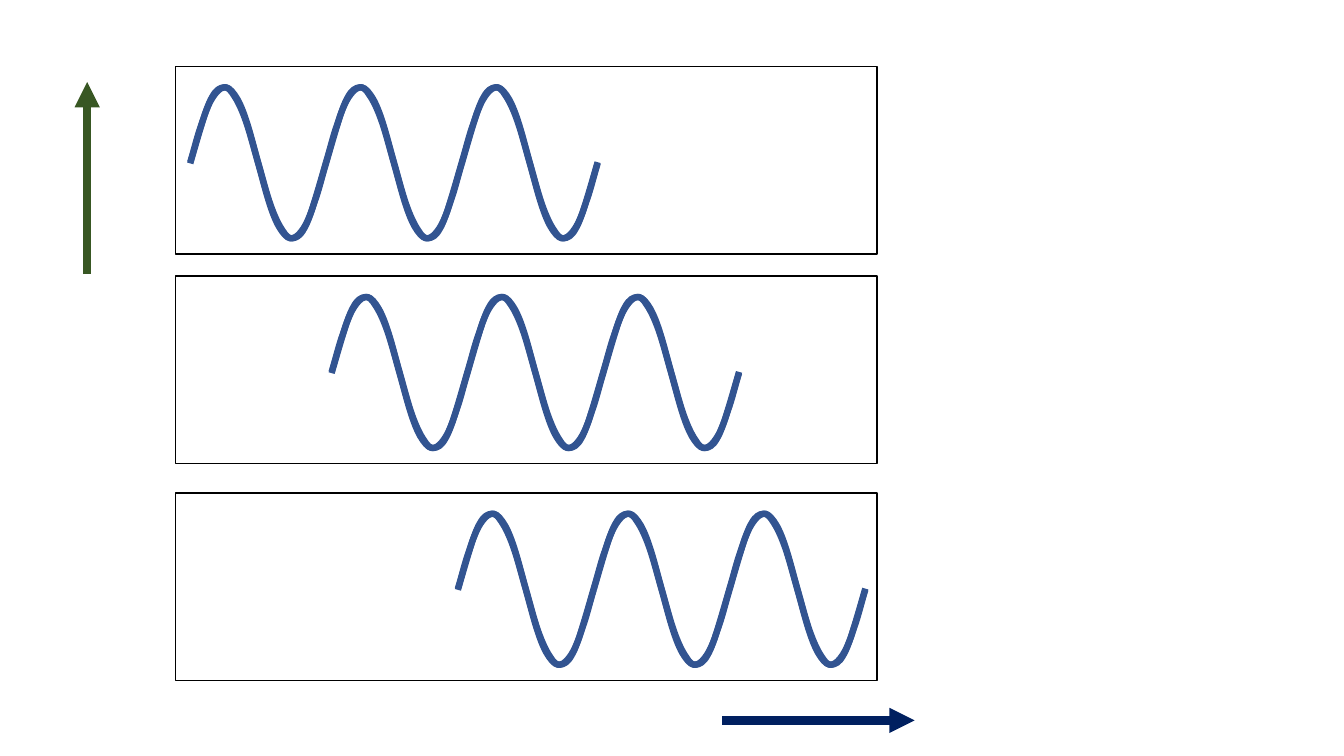
from lxml.etree import SubElement
from pptx import Presentation
from pptx.dml.color import RGBColor
from pptx.enum.shapes import MSO_CONNECTOR as Connector, MSO_SHAPE as Preset
from pptx.oxml.ns import qn
from pptx.util import Pt

WHITE = RGBColor(0xFF, 0xFF, 0xFF)
BLACK = RGBColor(0x00, 0x00, 0x00)
WAVE_BLUE = RGBColor(0x32, 0x54, 0x91)
GREEN = RGBColor(0x38, 0x57, 0x23)
NAVY = RGBColor(0x00, 0x20, 0x60)

SLIDE_SIZE = {"slide_width": Pt(960), "slide_height": Pt(540)}
PANEL_LEFT, PANEL_WIDTH, PANEL_HEIGHT = 125.3, 501.1, 133.9
PANELS = [
    {"top": 47.5, "wave_start": 135.9, "opacity": 56},
    {"top": 352.1, "wave_start": 327.1, "opacity": 60},
    {"top": 197.3, "wave_start": 236.9, "opacity": 60},
]
AXIS_DROP = 68.4
PERIOD = 97
CYCLES = (1, 2, 0)
TURNS = (0, 180)
CURVE = [
    (2.9, -9.4), (5, -18.7), (7.9, -26.6),
    (10.6, -34.6), (13.1, -42.5), (15.8, -46.8),
    (18.5, -51.8), (21.4, -53.3), (24.2, -53.5),
    (26.6, -53.8), (28.7, -51.8), (31.2, -47.7),
    (33.8, -43.9), (36.7, -38), (39.6, -29.7),
    (42.5, -21.6), (45.8, -8.8), (48.5, 0.7),
    (51.3, 10.5), (53.8, 20.5), (56.2, 28.1),
    (58.6, 35.8), (60.8, 41.4), (63.3, 45.9),
    (65.9, 50.3), (68.8, 54), (71.5, 54.4),
    (74.2, 54.6), (76.9, 52.7), (79.2, 49.6),
    (81.6, 46.5), (83.3, 43.7), (86.4, 35.5),
    (89.2, 27.2), (94.3, 9.5), (PERIOD, 0),
]
ARROWS = [
    {"ends": (62.3, 195.8, 62.3, 58.6), "color": GREEN},
    {"ends": (516, 514.6, 653.3, 514.6), "color": NAVY},
]
PANEL_LINE = {"color": BLACK, "width": Pt(1)}
WAVE_LINE = {"color": WAVE_BLUE, "width": Pt(4.5)}


def format_line(line, values):
    line.fill.solid()
    for name, value in values.items():
        if name == "color":
            line.color.rgb = value
        else:
            setattr(line, name, value)


def add_panel(shapes, top, opacity):
    panel = shapes.add_shape(Preset.RECTANGLE, Pt(PANEL_LEFT), Pt(top),
                             Pt(PANEL_WIDTH), Pt(PANEL_HEIGHT))
    panel.shadow.inherit = False
    panel.fill.solid()
    panel.fill.fore_color.rgb = WHITE
    tint = next(panel.element.spPr.iter(qn("a:srgbClr")))
    SubElement(tint, qn("a:alpha"), val=str(opacity * 1000))
    format_line(panel.line, PANEL_LINE)


def bend(shape):
    steps = list(shape.element.iter(qn("a:lnTo")))
    outline = steps[0].getparent()
    for first in range(0, len(steps), 3):
        curve = SubElement(outline, qn("a:cubicBezTo"))
        for step in steps[first:first + 3]:
            curve.append(step[0])
            outline.remove(step)


def add_cycle(shapes, left, axis, turn):
    builder = shapes.build_freeform(Pt(left), Pt(axis), scale=1.0)
    builder.add_line_segments([(Pt(left + x), Pt(axis + y)) for x, y in CURVE], close=False)
    cycle = builder.convert_to_shape()
    bend(cycle)
    cycle.rotation = turn
    cycle.shadow.inherit = False
    cycle.fill.background()
    format_line(cycle.line, WAVE_LINE)


def add_arrow(shapes, ends, color):
    arrow = shapes.add_connector(Connector.STRAIGHT, *map(Pt, ends))
    format_line(arrow.line, {"color": color, "width": Pt(6)})
    properties = arrow.element.spPr
    SubElement(properties.find(qn("a:ln")), qn("a:tailEnd"), type="triangle")
    SubElement(properties, qn("a:effectLst"))


def main():
    deck = Presentation()
    for name, value in SLIDE_SIZE.items():
        setattr(deck, name, value)
    slide = deck.slides.add_slide(deck.slide_layouts[6])
    for panel in PANELS:
        members = slide.shapes.add_group_shape().shapes
        add_panel(members, panel["top"], panel["opacity"])
        for turn in TURNS:
            for cycle in CYCLES:
                add_cycle(members, panel["wave_start"] + cycle * PERIOD,
                          panel["top"] + AXIS_DROP, turn)
    arrows = slide.shapes.add_group_shape().shapes
    for arrow in ARROWS:
        add_arrow(arrows, **arrow)
    deck.save("out.pptx")


if __name__ == "__main__":
    main()
